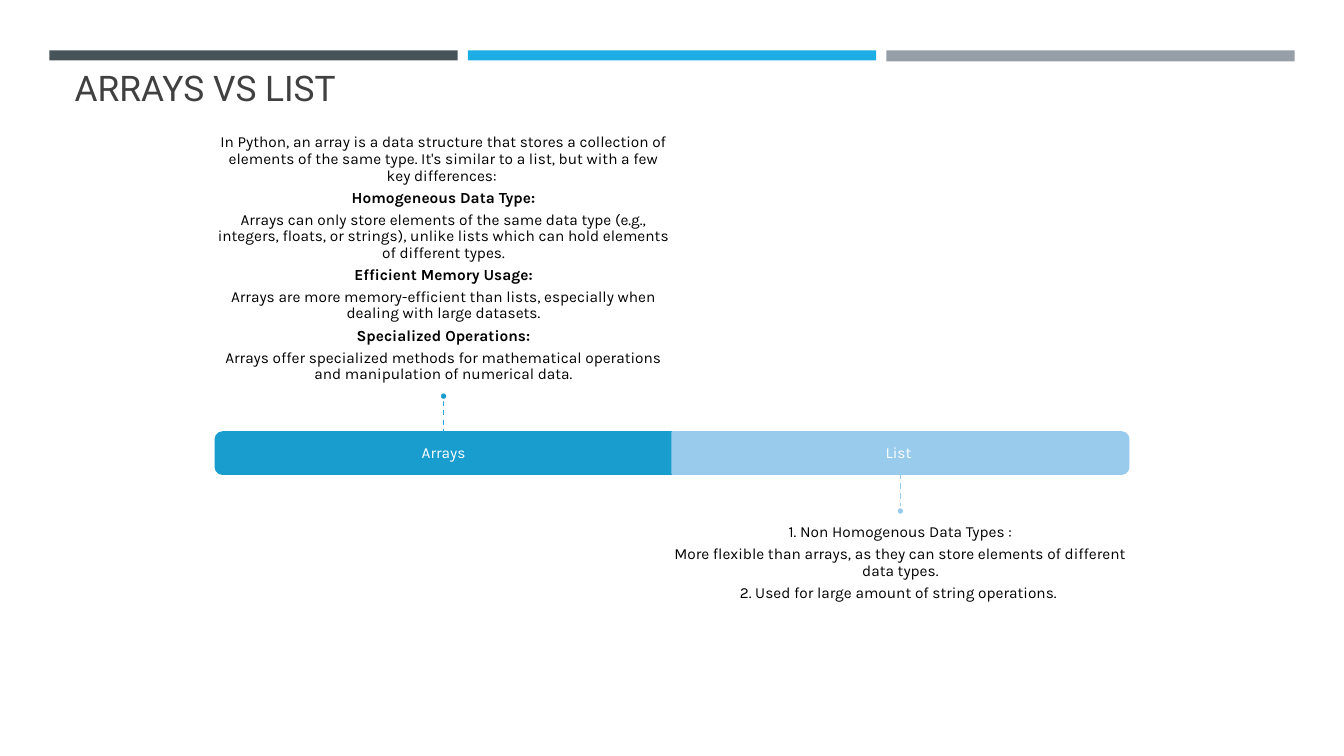
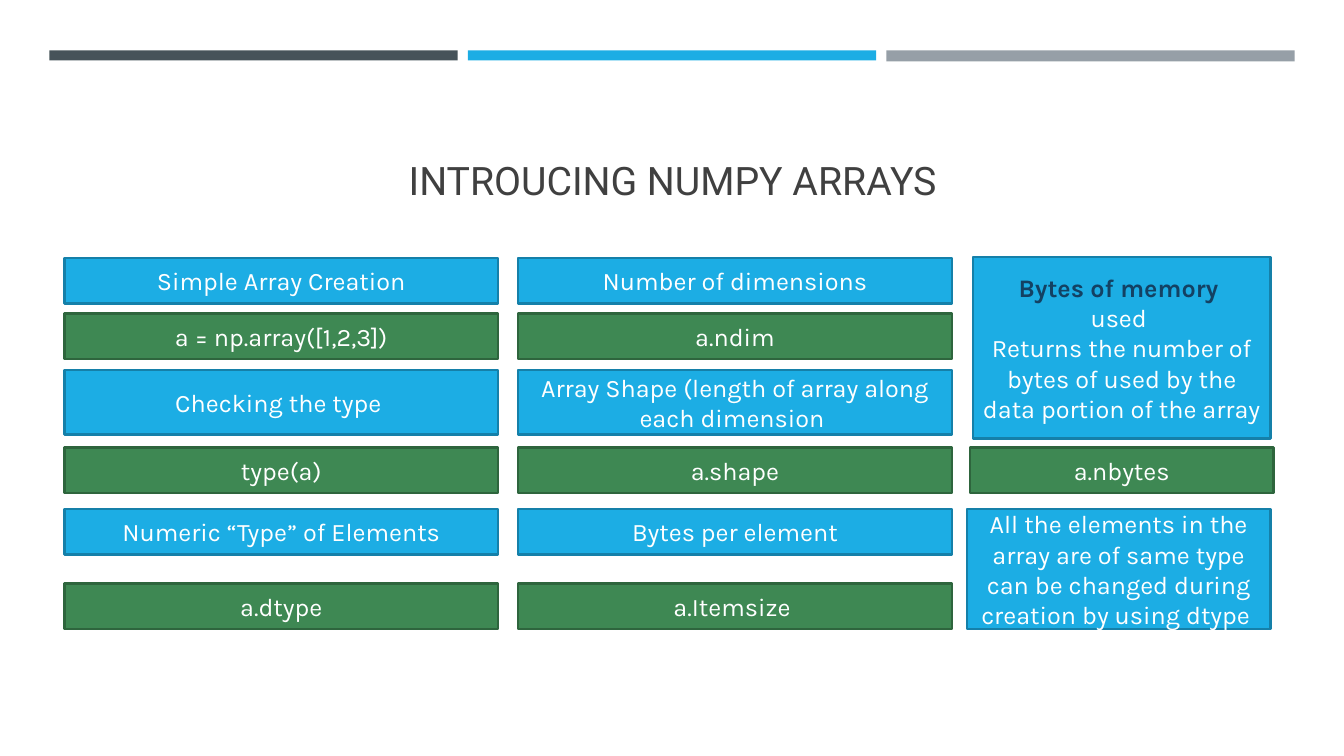
import pptx
import pptx.util
import pptx.dml.color
import pptx.enum.dml
import pptx.enum.shapes
import pptx.enum.text
import pptx.oxml.ns
import lxml.etree

PX = 9144  # EMU per px, 100 px to the inch
SHAPE = pptx.enum.shapes.MSO_SHAPE
ANCHOR = pptx.enum.text.MSO_ANCHOR
ALIGN = pptx.enum.text.PP_ALIGN

COLOURS = {
    "white": "FFFFFF", "black": "000000", "title": "404040",
    "slate": "465359", "sky": "1CADE4", "grey": "969FA7", "sky edge": "1580A9",
    "green": "3E8853", "green edge": "2E653D", "navy": "134163",
    "arrays": "199DCF", "arrays stem": "1BA5DA",
    "list": "99CBEC", "list stem": "98CBEC",
}
BANDS = [(49, 10, "slate"), (464, 10, "sky"), (879, 11, "grey")]  # left, height, colour

# Slide 1 content
BOLD = {"bold": True}
ARRAY_NOTES = [
    "In Python, an array is a data structure that stores a collection of elements "
    "of the same type. It's similar to a list, but with a few key differences: ",
    ("Homogeneous Data Type:", BOLD),
    "Arrays can only store elements of the same data type (e.g., integers, floats, "
    "or strings), unlike lists which can hold elements of different types.",
    ("Efficient Memory Usage:", BOLD),
    "Arrays are more memory-efficient than lists, especially when dealing with large datasets.",
    ("Specialized Operations:", BOLD),
    "Arrays offer specialized methods for mathematical operations and manipulation of numerical data.",
]
LIST_NOTES = [
    "1. Non Homogenous Data Types :",
    "More flexible than arrays, as they can store elements of different data types.",
    "2. Used for large amount of string operations. ",
]

# Slide 2 content: descriptions and code alternate down each column
ROWS = [(256, 45), (311, 45), (367, 64), (444, 45), (505, 45), (579, 45)]  # top, height
COLUMNS = [
    ["Simple Array Creation", "a = np.array([1,2,3])", "Checking the type ", "type(a)",
     "Numeric “Type” of Elements", "a.dtype"],
    ["Number of dimensions", "a.ndim", "Array Shape (length of array along each dimension ",
     "a.shape", "Bytes per element", "a.Itemsize "],
]
MEMORY_CARDS = [  # box, colour, paragraphs
    ((962, 444, 301, 45), "green", ["a.nbytes"]),
    ((965, 255, 295, 180), "sky", [
        ("Bytes of memory ", {"bold": True, "colour": "navy"}),
        "used ",
        "Returns the number of bytes of used by the data portion of the array "]),
    ((959, 505, 301, 119), "sky", [
        "All the elements in the array are of same type can be changed during "
        "creation by using dtype "]),
]


def emu(*lengths):
    return [pptx.util.Emu(round(length * PX)) for length in lengths]


def rgb(name):
    return pptx.dml.color.RGBColor.from_string(COLOURS[name])


def write(frame, paragraphs, anchor=ANCHOR.MIDDLE, insets=None, align=ALIGN.CENTER,
          spacing=None, after=None, **run_format):
    """Fill a text frame; a paragraph is a string or (string, run overrides)."""
    frame.word_wrap = True
    frame.auto_size = pptx.enum.text.MSO_AUTO_SIZE.NONE
    frame.vertical_anchor = anchor
    if insets:
        (frame.margin_left, frame.margin_top,
         frame.margin_right, frame.margin_bottom) = emu(*insets)
    for i, item in enumerate(paragraphs):
        words, own = (item, {}) if isinstance(item, str) else item
        look = {"font": "Karla", "bold": False, **run_format, **own}
        paragraph = frame.paragraphs[0] if i == 0 else frame.add_paragraph()
        paragraph.alignment = align
        if spacing:
            paragraph.line_spacing = spacing
        if after:
            paragraph.space_after = pptx.util.Pt(after)
        run = paragraph.add_run()
        run.text = words
        run.font.name = look["font"]
        run.font.size = pptx.util.Pt(look["size"])
        run.font.bold = look["bold"]
        run.font.color.rgb = rgb(look["colour"])


def draw(slide, kind, box, fill, edge=None):
    shape = slide.shapes.add_shape(kind, *emu(*box))
    shape.shadow.inherit = False
    shape.fill.solid()
    shape.fill.fore_color.rgb = rgb(fill)
    if edge:
        shape.line.color.rgb = rgb(edge)
        shape.line.width = pptx.util.Pt(1.75)
    else:
        shape.line.fill.background()
    return shape


def add_titled_slide(deck, title, height, size, align):
    slide = deck.slides.add_slide(deck.slide_layouts[5])
    heading = slide.shapes.title
    heading.left, heading.top, heading.width, heading.height = emu(64, 77, 1206, height)
    write(heading.text_frame, [title], anchor=ANCHOR.BOTTOM, align=align,
          font="Roboto", size=size, colour="title")
    return slide


def put_bands_on_layout(slide):
    tree = slide.slide_layout.shapes._spTree
    for left, height, colour in BANDS:
        band = draw(slide, SHAPE.RECTANGLE, (left, 50, 405, height), colour)
        tree.insert(2, band._element)


def add_stem(slide, x, top, bottom, colour):
    stem = slide.shapes.add_connector(
        pptx.enum.shapes.MSO_CONNECTOR.STRAIGHT, *emu(x, top, x, bottom))
    stem.line.color.rgb = rgb(colour)
    stem.line.width = pptx.util.Pt(1)
    stem.line.dash_style = pptx.enum.dml.MSO_LINE.DASH
    lxml.etree.SubElement(stem._element.spPr, pptx.oxml.ns.qn("a:effectLst"))


def add_half(slide, left, label, notes, colour, above):
    """One half of the bar, with its stem, dot and notes above or below."""
    width, thick, top = 452, 41, 429
    centre = left + width / 2
    # The bar is an upright shape turned on its side, round end outwards
    bar = draw(slide, SHAPE.ROUND_2_SAME_RECTANGLE,
               (centre - thick / 2, top + thick / 2 - width / 2, thick, width), colour, colour)
    bar.rotation = 270 if above else 90
    if above:
        stem, dot_top, notes_top = (397, 429), 389, 246
        anchor, insets = ANCHOR.BOTTOM, (0, 0, 0, 9)
    else:
        stem, dot_top, notes_top = (470, 503), 503, 511
        anchor, insets = ANCHOR.TOP, (0, 9, 0, 0)
    style = {"size": 11, "spacing": 0.9, "after": 3.85}
    label_box = slide.shapes.add_textbox(*emu(left, 431, width, 37))
    write(label_box.text_frame, [label], insets=(9, 9, 9, 9), colour="white", **style)
    notes_box = slide.shapes.add_textbox(*emu(left, notes_top, width, 143))
    write(notes_box.text_frame, notes, anchor=anchor, insets=insets, colour="black", **style)
    add_stem(slide, centre, *stem, colour + " stem")
    draw(slide, SHAPE.OVAL, (centre - 4, dot_top, 8, 8), colour, "white")


def add_card(slide, box, colour, paragraphs):
    card = draw(slide, SHAPE.RECTANGLE, box, colour, colour + " edge")
    write(card.text_frame, paragraphs, size=18, colour="white")


def main():
    deck = pptx.Presentation()
    deck.slide_width, deck.slide_height = emu(1333, 750)

    # Slide 1: arrays against lists
    versus = add_titled_slide(deck, "ARRAYS VS LIST", 36, 25.2, ALIGN.LEFT)
    put_bands_on_layout(versus)
    add_half(versus, 214, "Arrays", ARRAY_NOTES, "arrays", above=True)
    add_half(versus, 667, "List ", LIST_NOTES, "list", above=False)

    # Slide 2: cards of array attributes
    numpy_intro = add_titled_slide(deck, "INTROUCING NUMPY ARRAYS", 130, 28, ALIGN.CENTER)
    for c, column in enumerate(COLUMNS):
        for r, (words, (top, height)) in enumerate(zip(column, ROWS)):
            add_card(numpy_intro, (64 + 450 * c, top, 430, height),
                     "green" if r % 2 else "sky", [words])
    for box, colour, paragraphs in MEMORY_CARDS:
        add_card(numpy_intro, box, colour, paragraphs)

    deck.save("out.pptx")


if __name__ == "__main__":
    main()
